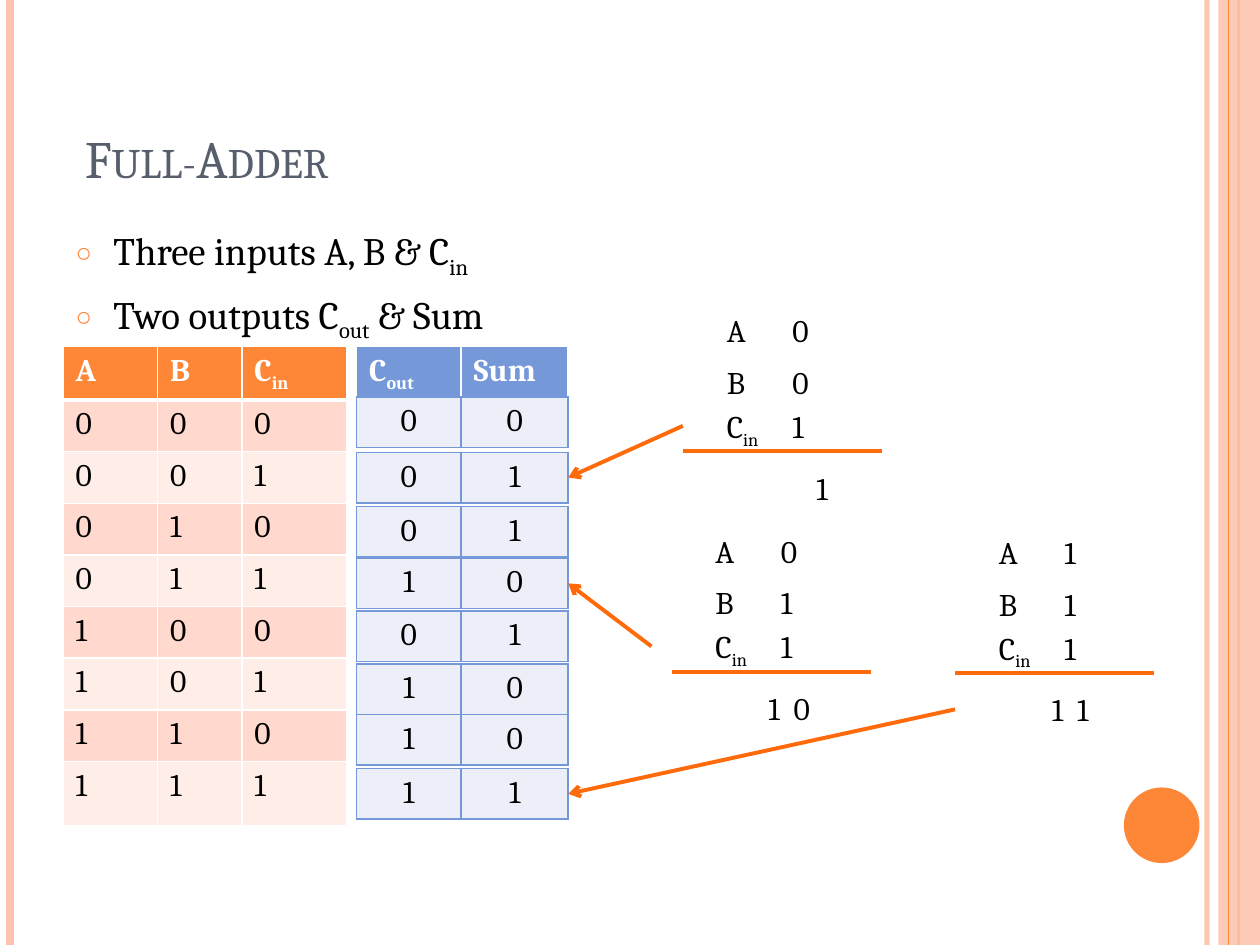
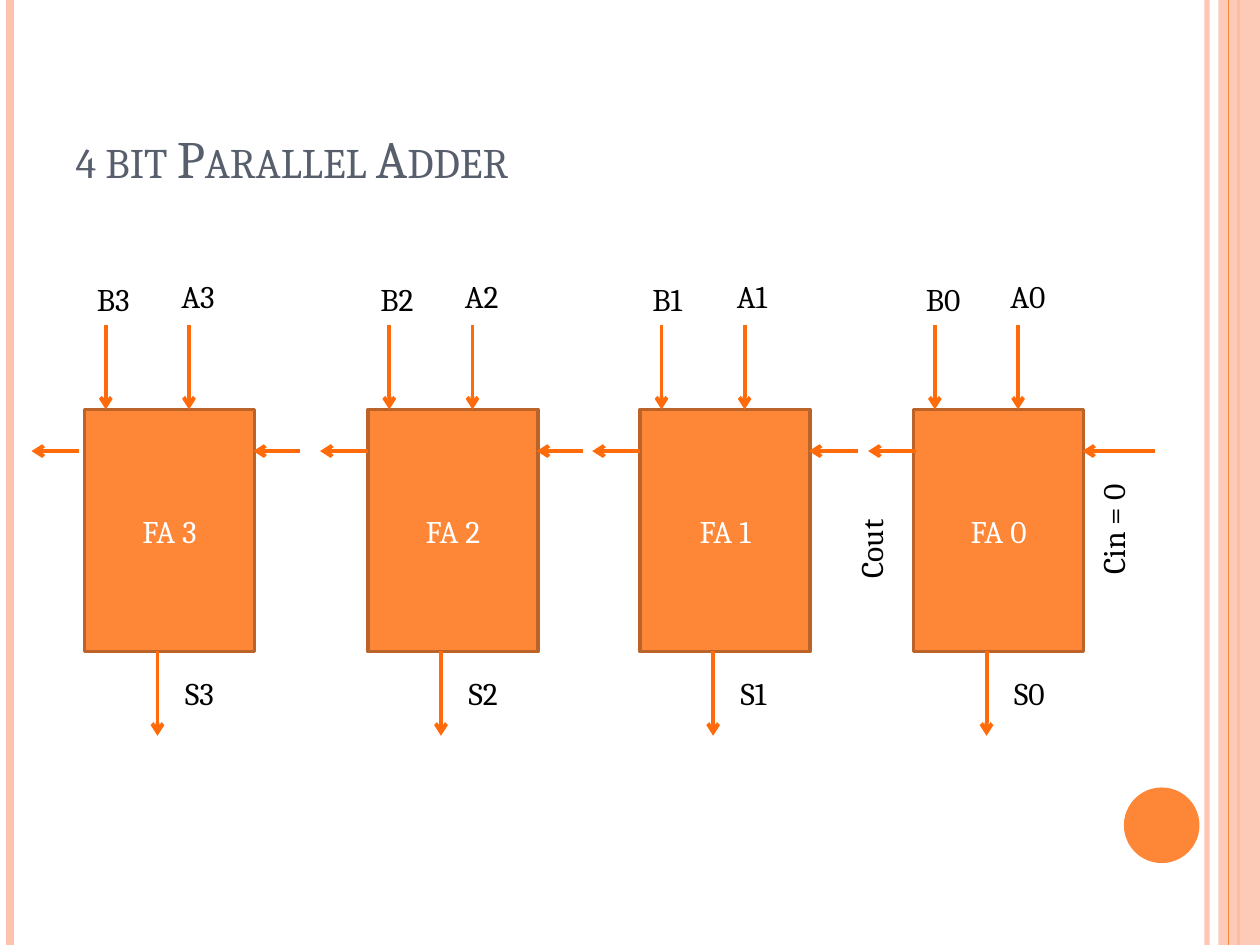
from dataclasses import dataclass

from lxml.etree import SubElement
from pptx import Presentation
from pptx.dml.color import RGBColor
from pptx.enum.shapes import MSO_CONNECTOR, MSO_SHAPE
from pptx.enum.text import MSO_ANCHOR, MSO_AUTO_SIZE, PP_ALIGN
from pptx.oxml.ns import qn
from pptx.util import Inches, Pt


@dataclass(frozen=True)
class Theme:
    font: str = "Cambria"
    title_size: float = 30
    list_size: float = 22.2
    text_size: float = 18
    line_width: float = 2.25
    title: str = "575F6D"
    text: str = "000000"
    white: str = "FFFFFF"
    orange: str = "FE8637"
    orange_edge: str = "BC6329"
    arrow: str = "FF6B0A"
    peach: str = "FEC3AE"
    bands: tuple = ("FFD9CE", "FFEDE8")
    blue: str = "7598D9"
    pale_blue: str = "ECEFF8"


THEME = Theme()
WIDTH, HEIGHT = 10, 7.5

# Content: text between ~ marks is subscript, a tab separates columns
FULL_ADDER = " Full-Adder"
PORTS = ["Three inputs A, B & C~in~", "Two outputs C~out~ & Sum"]
INPUT_HEAD = ["A", "B", "C~in~"]
INPUTS = [[a, b, c] for a in "01" for b in "01" for c in "01"]
OUTPUT_HEAD = ["C~out~", "Sum"]
OUTPUTS = ["00", "01", "01", "10", "01", "10", "10", "11"]
OUTPUT_TOPS = [3.15, 3.59, 4.02, 4.43, 4.85, 5.27, 5.67, 6.1]
INPUT_COLS, OUTPUT_COLS = [0.75, 0.67, 0.83], [0.83, 0.85]
OUTPUT_LEFT, OUTPUT_HEIGHT = 2.83, 0.4

# Worked sums: left, top, bits, result, result indent, arrow start, table row
SUMS = [
    (5.67, 2.42, "001", "1", 0.71, (5.42, 3.38), 1),
    (5.58, 4.17, "011", "1\t0", 0.42, (5.17, 5.13), 3),
    (7.83, 4.18, "111", "1\t1", 0.42, (7.58, 5.63), 7),
]

PARALLEL_ADDER = "4 bit Parallel Adder"
# Adders: number, left, start of carry in, start of carry out
ADDERS = [
    (0, 7.25, 9.17, 7.27),
    (1, 5.08, 6.81, 5.08),
    (2, 2.92, 4.63, 2.92),
    (3, 0.67, 2.38, 0.63),
]
ADDER_TOP, ADDER_WIDTH, ADDER_HEIGHT = 3.25, 1.35, 1.92
PIN, CARRY = 0.67, 0.38
CARRY_LABELS = [("Cin = 0", 8.63, 3.62, 1.04), ("Cout", 6.71, 3.73, 0.96)]


def rgb(colour):
    return RGBColor.from_string(colour)


def inches(*lengths):
    return [Inches(length) for length in lengths]


def write(paragraph, marked, size=THEME.text_size, colour=THEME.text, bold=False):
    for index, part in enumerate(marked.split("~")):
        if not part:
            continue
        run = paragraph.add_run()
        run.text = part
        run.font.name, run.font.size, run.font.bold = THEME.font, Pt(size), bold
        run.font.color.rgb = rgb(colour)
        if index % 2:
            run.font._element.set("baseline", "-25000")


def set_alpha(fill_parent, percent):
    for colour in fill_parent.iter(qn("a:srgbClr")):
        SubElement(colour, qn("a:alpha"), val=str(percent * 1000))


def line(slide, start, end, colour=THEME.arrow, width=THEME.line_width, arrow=False):
    link = slide.shapes.add_connector(MSO_CONNECTOR.STRAIGHT, *inches(*start, *end))
    link.line.color.rgb, link.line.width = rgb(colour), Pt(width)
    properties = link.element.spPr
    if arrow:
        SubElement(properties.find(qn("a:ln")), qn("a:tailEnd"), type="arrow")
    SubElement(properties, qn("a:effectLst"))
    return link


def block(slide, kind, box, fill, edge=None):
    shape = slide.shapes.add_shape(kind, *inches(*box))
    shape.shadow.inherit = False
    shape.fill.solid()
    shape.fill.fore_color.rgb = rgb(fill)
    if edge:
        shape.line.color.rgb, shape.line.width = rgb(edge), Pt(2)
    else:
        shape.line.fill.background()
    return shape


def label(slide, marked, left, top, width, height=0.4, tab=None, upward=False):
    frame = slide.shapes.add_textbox(*inches(left, top, width, height)).text_frame
    frame.word_wrap = True
    paragraph = frame.paragraphs[0]
    write(paragraph, marked)
    if tab:
        stops = SubElement(paragraph._p.get_or_add_pPr(), qn("a:tabLst"))
        SubElement(stops, qn("a:tab"), pos=str(Inches(tab)), algn="l")
    if upward:
        frame._txBody.bodyPr.set("vert", "vert270")


def style_cell(cell, marked, fill, edge, bottom=1, align=PP_ALIGN.LEFT, **font):
    paragraph = cell.text_frame.paragraphs[0]
    paragraph.alignment = align
    write(paragraph, marked, **font)
    cell.fill.solid()
    cell.fill.fore_color.rgb = rgb(fill)
    properties = cell._tc.get_or_add_tcPr()
    for index, side in enumerate("LRTB"):
        width = bottom if side == "B" else 1
        border = SubElement(properties, qn(f"a:ln{side}"), w=str(Pt(width)))
        SubElement(SubElement(border, qn("a:solidFill")), qn("a:srgbClr"), val=edge)
        properties.insert(index, border)


def grid(slide, left, top, columns, heights):
    frame = slide.shapes.add_table(
        len(heights), len(columns), *inches(left, top, sum(columns), sum(heights)))
    table = frame.table
    table.first_row = table.horz_banding = False
    for column, width in zip(table.columns, columns):
        column.width = Inches(width)
    for row, height in zip(table.rows, heights):
        row.height = Inches(height)
    return table


def fill_head(table, names, fill):
    for cell, name in zip(table.rows[0].cells, names):
        style_cell(cell, name, fill, THEME.white, bottom=3, colour=THEME.white, bold=True)


def decorate_master(deck, slide):
    """Draw the side bands and the disc, then hand them to the slide master."""
    bands = [line(slide, (x, 0), (x, HEIGHT), colour, width) for x, colour, width in [
        (9.58, THEME.peach, 3), (0.08, THEME.peach, 4.5), (9.83, THEME.orange, 1.5)]]
    set_alpha(bands[0].element, 93)
    side = block(slide, MSO_SHAPE.RECTANGLE, (9.67, 0, WIDTH - 9.67, HEIGHT), THEME.peach)
    set_alpha(side.element.spPr, 87)
    edge = line(slide, (9.75, 0), (9.75, HEIGHT), THEME.orange, 0.75)
    disc = block(slide, MSO_SHAPE.OVAL, (8.92, 6.25, 0.6, 0.6), THEME.orange)
    tree = deck.slide_master.shapes.element
    for index, part in enumerate([*bands, side, edge, disc]):
        part.element.xpath("./*/p:cNvPr")[0].set("id", str(100 + index))
        tree.insert(2 + index, part.element)


def place(holder, left, top, width, height):
    holder.left, holder.top, holder.width, holder.height = inches(left, top, width, height)
    holder.text_frame.auto_size = MSO_AUTO_SIZE.NONE


def titled_slide(deck, layout, words):
    slide = deck.slides.add_slide(deck.slide_layouts[layout])
    title = slide.shapes.title
    place(title, 0.5, 0.3, 8.17, 1.25)
    title.text_frame.vertical_anchor = MSO_ANCHOR.BOTTOM
    paragraph = title.text_frame.paragraphs[0]
    paragraph.alignment = PP_ALIGN.LEFT
    write(paragraph, words, THEME.title_size, THEME.title)
    for run in paragraph.runs:
        run.font._element.set("cap", "small")
    return slide


def add_ports(slide):
    body = slide.placeholders[1]
    place(body, 0.5, 1.75, 8.17, 0.83)
    frame = body.text_frame
    for index, port in enumerate(PORTS):
        paragraph = frame.add_paragraph() if index else frame.paragraphs[0]
        paragraph.space_before = Pt(6)
        write(paragraph, port, THEME.list_size)
        properties = paragraph._p.get_or_add_pPr()
        properties.set("marL", str(Inches(0.3)))
        properties.set("indent", str(-Inches(0.3)))
        SubElement(SubElement(properties, qn("a:buClr")), qn("a:srgbClr"), val=THEME.orange)
        SubElement(properties, qn("a:buSzPct"), val="70000")
        SubElement(properties, qn("a:buChar"), char="○")


def add_truth_table(slide):
    table = grid(slide, 0.5, 2.75, INPUT_COLS, [0.41] * len(INPUTS) + [0.51])
    fill_head(table, INPUT_HEAD, THEME.orange)
    for row, bits in enumerate(INPUTS):
        for cell, bit in zip(table.rows[row + 1].cells, bits):
            style_cell(cell, bit, THEME.bands[row % 2], THEME.white)
    fill_head(grid(slide, OUTPUT_LEFT, 2.75, OUTPUT_COLS, [0.41]), OUTPUT_HEAD, THEME.blue)
    for top, bits in zip(OUTPUT_TOPS, OUTPUTS):
        strip = grid(slide, OUTPUT_LEFT, top, OUTPUT_COLS, [OUTPUT_HEIGHT])
        for cell, bit in zip(strip.rows[0].cells, bits):
            style_cell(cell, bit, THEME.pale_blue, THEME.blue, align=PP_ALIGN.CENTER)


def add_sum(slide, left, top, bits, result, indent, start, row):
    for name, bit, drop in zip(INPUT_HEAD, bits, (0, 0.41, 0.76)):
        label(slide, f"{name}\t{bit}", left, top + drop, 1.33, tab=0.52)
    line(slide, (left - 0.25, top + 1.16), (left + 1.33, top + 1.16))
    label(slide, result, left + indent, top + 1.25, 1.3 - indent, tab=0.2)
    target = OUTPUT_LEFT + sum(OUTPUT_COLS), OUTPUT_TOPS[row] + OUTPUT_HEIGHT / 2
    line(slide, start, target, arrow=True)


def add_adder(slide, number, left, carry_in, carry_out):
    box = block(slide, MSO_SHAPE.RECTANGLE, (left, ADDER_TOP, ADDER_WIDTH, ADDER_HEIGHT),
                THEME.orange, THEME.orange_edge)
    box.text_frame.vertical_anchor = MSO_ANCHOR.MIDDLE
    paragraph = box.text_frame.paragraphs[0]
    paragraph.alignment = PP_ALIGN.CENTER
    write(paragraph, f"FA {number}", colour=THEME.white)

    # Pins: two inputs above, sum below, carries at the sides
    bottom, carry_y = ADDER_TOP + ADDER_HEIGHT, 3.58
    for x, y in [(left + 0.83, ADDER_TOP - PIN), (left + 0.17, ADDER_TOP - PIN),
                 (left + 0.58, bottom)]:
        line(slide, (x, y), (x, y + PIN), arrow=True)
    for start, end in [(carry_in, left + 1.34), (carry_out, carry_out - CARRY)]:
        line(slide, (start, carry_y), (end, carry_y), arrow=True)
    for name, shift, top, width in [("A", 0.67, 2.15, 0.62), ("B", 0, 2.17, 0.58),
                                    ("S", 0.7, 5.3, 1.08)]:
        label(slide, f"{name}{number}", left + shift, top, width)


def main():
    deck = Presentation()
    deck.slide_width, deck.slide_height = inches(WIDTH, HEIGHT)

    # Full adder with truth table and worked sums
    full = titled_slide(deck, 1, FULL_ADDER)
    decorate_master(deck, full)
    add_ports(full)
    add_truth_table(full)
    for worked in SUMS:
        add_sum(full, *worked)

    # Four adders in a row
    parallel = titled_slide(deck, 5, PARALLEL_ADDER)
    for adder in ADDERS:
        add_adder(parallel, *adder)
    for words, left, top, length in CARRY_LABELS:
        label(parallel, words, left, top, 0.5, length, upward=True)

    deck.save("out.pptx")


if __name__ == "__main__":
    main()
